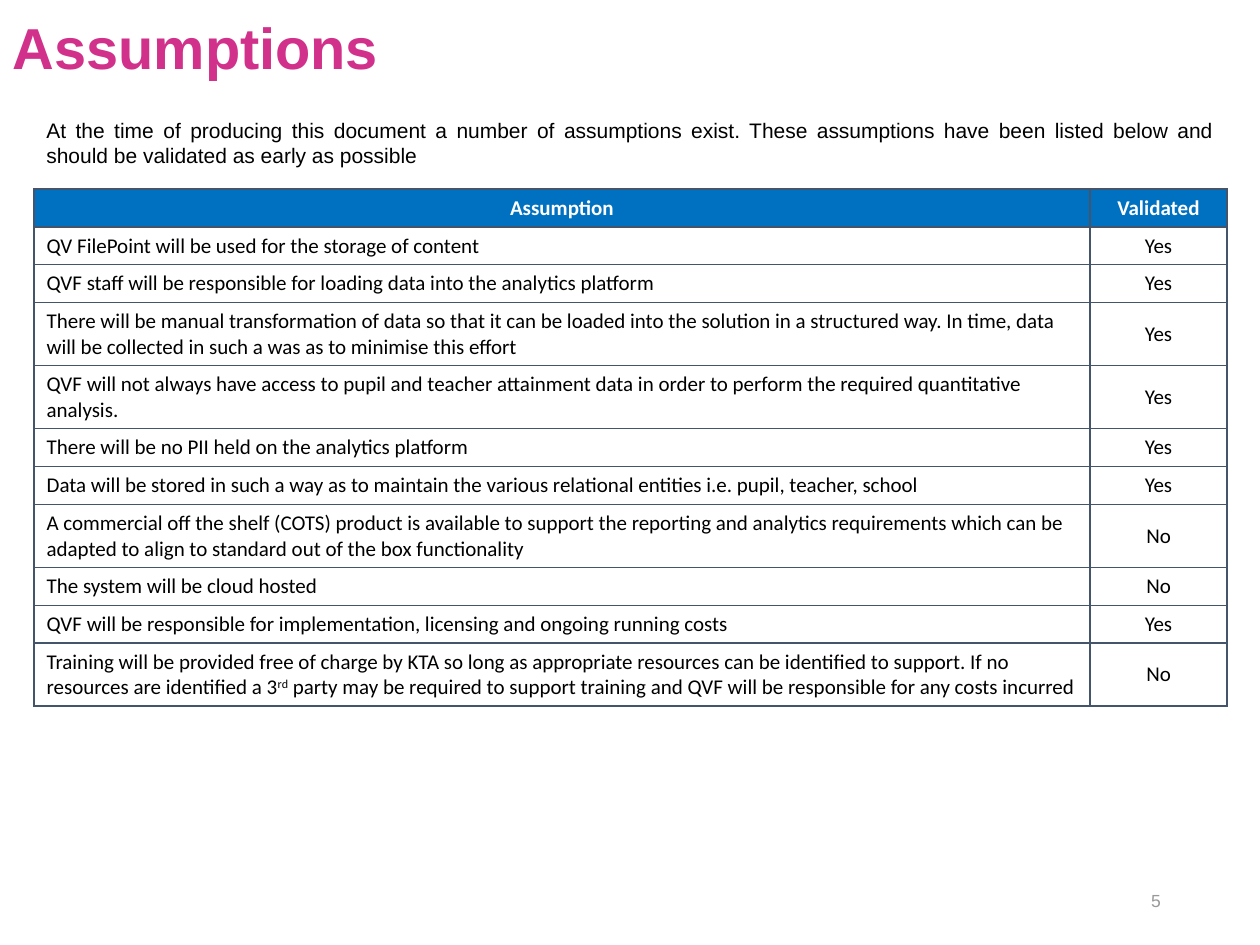
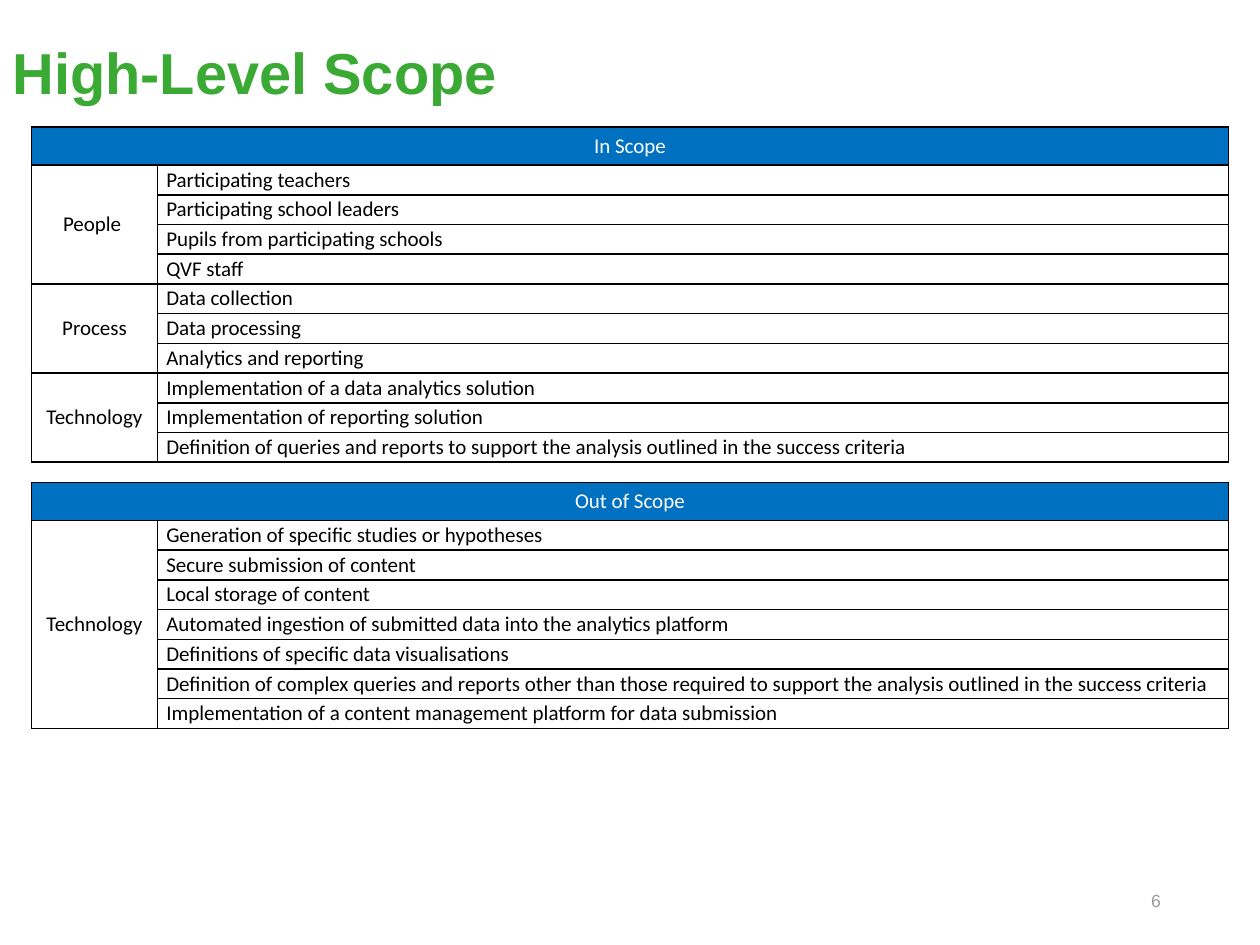
from lxml import etree
from pptx import Presentation
from pptx.dml.color import RGBColor
from pptx.enum.text import MSO_ANCHOR, MSO_AUTO_SIZE, PP_ALIGN
from pptx.oxml.ns import qn
from pptx.util import Inches, Pt

LEFT, CENTER, RIGHT = PP_ALIGN.LEFT, PP_ALIGN.CENTER, PP_ALIGN.RIGHT
JUSTIFY = PP_ALIGN.JUSTIFY
TOP, MIDDLE = MSO_ANCHOR.TOP, MSO_ANCHOR.MIDDLE
FIT_NONE = MSO_AUTO_SIZE.NONE

# ---- Content (text between ^ marks is superscript) ----
ASSUMPTIONS_TITLE = "Assumptions"
INTRO = ("At the time of producing this document a number of assumptions exist. "
         "These assumptions have been listed below and should be validated as early as possible")
ASSUMPTION_HEADER = ("Assumption", "Validated")
ASSUMPTIONS = [
    ("QV FilePoint will be used for the storage of content", "Yes"),
    ("QVF staff will be responsible for loading data into the analytics platform", "Yes"),
    ("There will be manual transformation of data so that it can be loaded into the solution "
     "in a structured way. In time, data will be collected in such a was as to minimise this effort", "Yes"),
    ("QVF will not always have access to pupil and teacher attainment data in order to perform "
     "the required quantitative analysis.", "Yes"),
    ("There will be no PII held on the analytics platform", "Yes"),
    ("Data will be stored in such a way as to maintain the various relational entities "
     "i.e. pupil, teacher, school", "Yes"),
    ("A commercial off the shelf (COTS) product is available to support the reporting and analytics "
     "requirements which can be adapted to align to standard out of the box functionality", "No"),
    ("The system will be cloud hosted", "No"),
    ("QVF will be responsible for implementation, licensing and ongoing running costs", "Yes"),
    ("Training will be provided free of charge by KTA so long as appropriate resources can be "
     "identified to support. If no resources are identified a 3^rd^ party may be required to support "
     "training and QVF will be responsible for any costs incurred", "No"),
]

SCOPE_TITLE = "High-Level Scope"
IN_SCOPE = {
    "People ": ["Participating teachers", "Participating school leaders",
                "Pupils from participating schools", "QVF staff"],
    "Process": ["Data collection", "Data processing", "Analytics and reporting"],
    "Technology": [
        "Implementation of a data analytics solution",
        "Implementation of reporting solution",
        "Definition of queries and reports to support the analysis outlined in the success criteria"],
}
OUT_OF_SCOPE = {
    "Technology": [
        "Generation of specific studies or hypotheses",
        "Secure submission of content",
        "Local storage of content",
        "Automated ingestion of submitted data into the analytics platform",
        "Definitions of specific data visualisations",
        "Definition of complex queries and reports other than those required to support "
        "the analysis outlined in the success criteria",
        "Implementation of a content management platform for data submission"],
}

# ---- Shared style ----
COLORS = {"pink": "D1318A", "green": "3AAA35", "header": "0070C0", "slate": "44546A",
          "black": "000000", "white": "FFFFFF", "grey": "999999"}
SLIDE_W, SLIDE_H = 10, 7.5
TITLE_H = 0.62
TITLE_ONLY = 5
HEADER_H, ITEM_H = 0.3, 0.236
SCOPE_GAP = 0.16


def write(frame, text, size=12, font="Calibri", color="black", bold=False,
          align=LEFT, anchor=MIDDLE, spacing=None):
    frame.word_wrap = True
    frame.vertical_anchor = anchor
    paragraph = frame.paragraphs[0]
    paragraph.alignment = align
    if spacing:
        paragraph.line_spacing = spacing
    for index, piece in enumerate(text.split("^")):
        run = paragraph.add_run()
        run.text = piece
        run.font.size, run.font.name, run.font.bold = Pt(size), font, bold
        run.font.color.rgb = RGBColor.from_string(COLORS[color])
        if index % 2:
            run._r.get_or_add_rPr().set("baseline", "30000")


def add_label(slide, box, text, **style):
    label = slide.shapes.add_textbox(*map(Inches, box))
    write(label.text_frame, text, **style)


def add_page(prs, title, number, color, top, **title_style):
    slide = prs.slides.add_slide(prs.slide_layouts[TITLE_ONLY])
    heading = slide.shapes.title
    heading.left, heading.top = 0, Inches(top)
    heading.width, heading.height = Inches(SLIDE_W), Inches(TITLE_H)
    heading.text_frame.auto_size = FIT_NONE
    write(heading.text_frame, title, size=33, font="Arial", color=color, bold=True, **title_style)
    add_label(slide, (7.06, 6.95, 2.25, 0.4), number, size=10, font="Arial",
              color="grey", align=RIGHT)
    return slide


def add_grid(slide, left, top, widths, heights, line):
    """Add a plain white table with a one-point line round every cell."""
    table = slide.shapes.add_table(len(heights), len(widths), Inches(left), Inches(top),
                                   Inches(sum(widths)), Inches(sum(heights))).table
    table.first_row = table.horz_banding = False
    for column, width in zip(table.columns, widths):
        column.width = Inches(width)
    for row, height in zip(table.rows, heights):
        row.height = Inches(height)
    for cell in table.iter_cells():
        properties = cell._tc.get_or_add_tcPr()
        for side in ("a:lnL", "a:lnR", "a:lnT", "a:lnB"):
            border = etree.SubElement(properties, qn(side), w=str(Pt(1)))
            fill = etree.SubElement(border, qn("a:solidFill"))
            etree.SubElement(fill, qn("a:srgbClr"), val=COLORS[line])
        paint(cell, "white")
    return table


def paint(cell, color):
    cell.fill.solid()
    cell.fill.fore_color.rgb = RGBColor.from_string(COLORS[color])


def write_cell(cell, text, **style):
    cell.vertical_anchor = style.get("anchor", MIDDLE)
    write(cell.text_frame, text, **style)


def write_header(cell, text, **style):
    paint(cell, "header")
    write_cell(cell, text, color="white", align=CENTER, **style)


def add_scope(slide, top, heading, groups):
    """Add a table of grouped items and return its lower edge."""
    heights = [HEADER_H] + [ITEM_H] * sum(map(len, groups.values()))
    table = add_grid(slide, 0.25, top, (1, 8.5), heights, "black")
    table.cell(0, 0).merge(table.cell(0, 1))
    write_header(table.cell(0, 0), heading)
    first = 1
    for group, items in groups.items():
        table.cell(first, 0).merge(table.cell(first + len(items) - 1, 0))
        write_cell(table.cell(first, 0), group, align=CENTER)
        for row, item in enumerate(items, first):
            cell = table.cell(row, 1)
            cell.margin_left = cell.margin_right = Inches(0.07)
            cell.margin_top = cell.margin_bottom = 0
            write_cell(cell, item)
        first += len(items)
    return top + sum(heights)


def build_assumptions(prs):
    slide = add_page(prs, ASSUMPTIONS_TITLE, "5", "pink", 0.25, anchor=TOP, spacing=Pt(25))
    table = add_grid(slide, 0.27, 1.5, (8.38, 1.09),
                     [HEADER_H] * (len(ASSUMPTIONS) + 1), "slate")
    for column, heading in enumerate(ASSUMPTION_HEADER):
        write_header(table.cell(0, column), heading, bold=True, anchor=TOP)
    for row, (assumption, validated) in enumerate(ASSUMPTIONS, 1):
        write_cell(table.cell(row, 0), assumption)
        write_cell(table.cell(row, 1), validated, align=CENTER)
    add_label(slide, (0.27, 0.88, 9.47, 0.5), INTRO, font="Arial", align=JUSTIFY, anchor=TOP)


def build_scope(prs):
    slide = add_page(prs, SCOPE_TITLE, "6", "green", 0.29, spacing=0.9)
    bottom = add_scope(slide, 1.01, "In Scope", IN_SCOPE)
    add_scope(slide, bottom + SCOPE_GAP, "Out of Scope", OUT_OF_SCOPE)


def main():
    prs = Presentation()
    prs.slide_width, prs.slide_height = Inches(SLIDE_W), Inches(SLIDE_H)
    build_assumptions(prs)
    build_scope(prs)
    prs.save("out.pptx")


if __name__ == "__main__":
    main()
